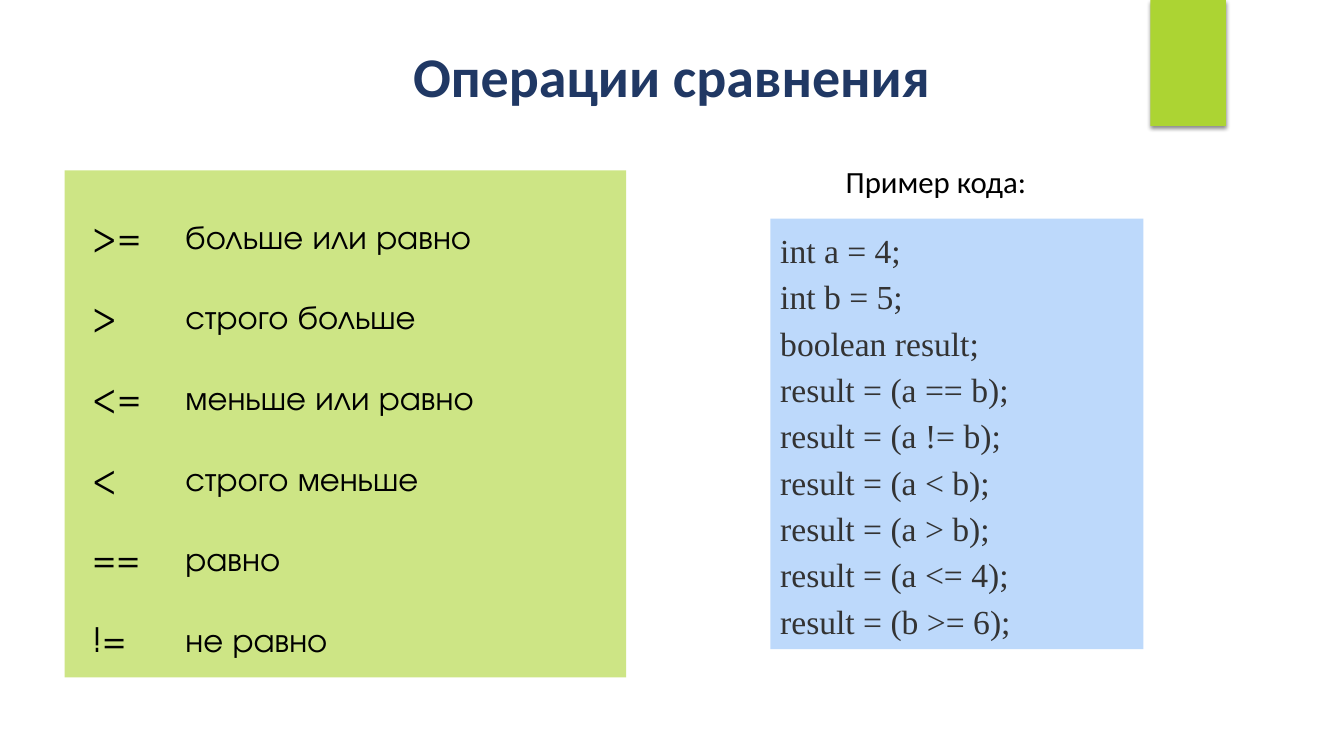
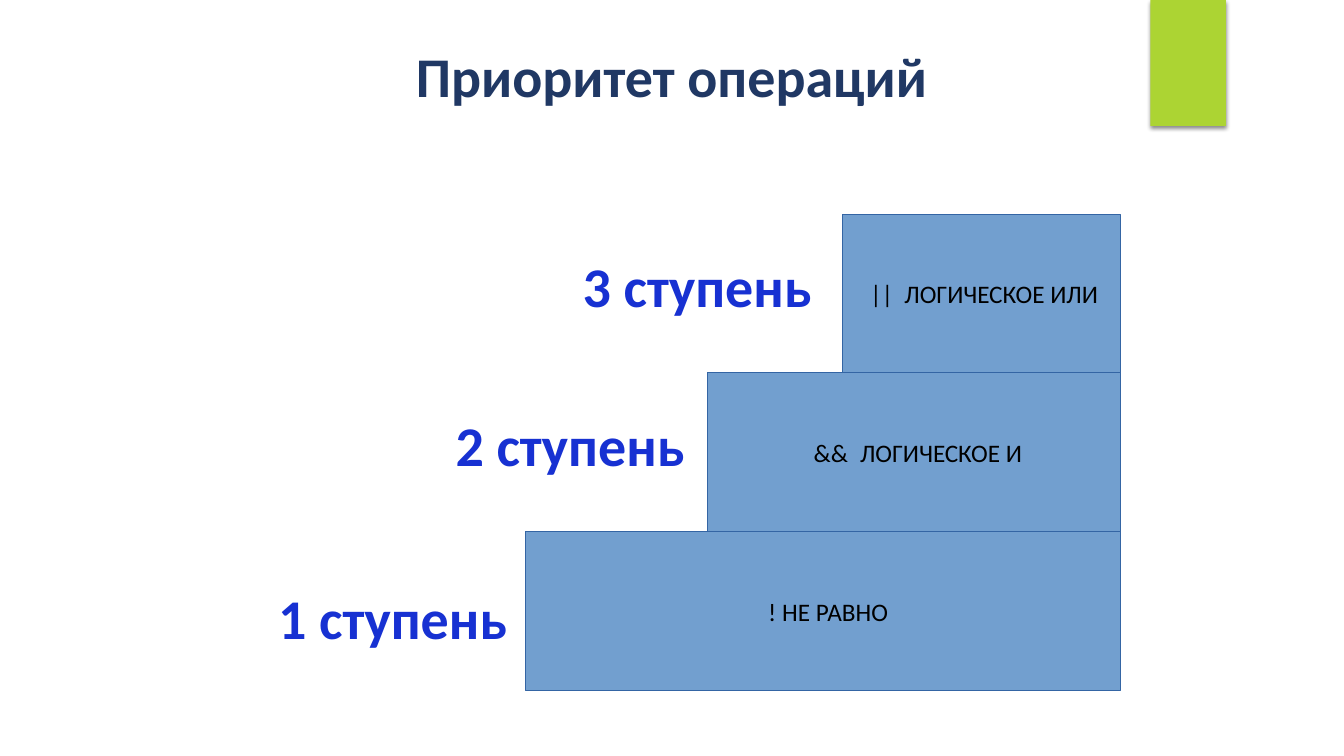
from lxml.etree import SubElement
from pptx import Presentation
from pptx.dml.color import RGBColor
from pptx.enum.shapes import MSO_SHAPE
from pptx.enum.text import MSO_ANCHOR, PP_ALIGN
from pptx.oxml.ns import qn
from pptx.util import Inches, Pt

COLORS = {
    "flag": "ACD433", "title": "203864", "text": "000000",
    "list": "CDE585", "code_bg": "BDD9FB", "code": "333333",
    "step": "729FCF", "edge": "3465A4", "label": "1731D2",
}
SANS, ROUND, SERIF = "Calibri", "TeX Gyre Adventor", "Times New Roman"

SIGNS = [
    (">=", "больше или равно"),
    (">", "строго больше"),
    ("<=", "меньше или равно"),
    ("<", "строго меньше"),
    ("==", "равно"),
    ("!=", "не равно"),
]
CODE = [
    "int a = 4;",
    "int b = 5;",
    "boolean result;",
    "result = (a == b);",
    "result = (a != b);",
    "result = (a < b);",
    "result = (a > b);",
    "result = (a <= 4);",
    "result = (b >= 6);",
]
# Bottom step first: label, its left and top, step width, text, inset, tab
STEPS = [
    ("1 ступень", 2.66, 5.74, 5.9, "! НЕ РАВНО", 2.41, None),
    ("2 ступень", 4.42, 4.02, 4.09, "&&\tЛОГИЧЕСКОЕ И", 1.05, 0.46),
    ("3 ступень", 5.68, 2.45, 2.75, "||\tЛОГИЧЕСКОЕ ИЛИ", 0.27, 0.34),
]
RIGHT, BOTTOM, RISE = 11.11, 6.85, 1.575


def color(name):
    return RGBColor.from_string(COLORS[name])


def add_box(slide, at, fill, line=None):
    box = slide.shapes.add_shape(MSO_SHAPE.RECTANGLE, *map(Inches, at))
    box.shadow.inherit = False
    box.fill.solid()
    box.fill.fore_color.rgb = color(fill)
    if line:
        box.line.color.rgb = color(line)
        box.line.width = Pt(0.75)
    else:
        box.line.fill.background()
    return box


def add_tab(para, pos):
    tabs = SubElement(para._p.get_or_add_pPr(), qn("a:tabLst"))
    SubElement(tabs, qn("a:tab"), pos=str(Inches(pos)), algn="l")


def write(shape, lines, size, tone="text", face=SANS, bold=False, inset=0.1,
          align=PP_ALIGN.LEFT, anchor=MSO_ANCHOR.TOP, space=None, tab=None):
    frame = shape.text_frame
    frame.word_wrap = True
    frame.vertical_anchor = anchor
    frame.margin_left = Inches(inset)
    frame.text = "\n".join(lines)
    for para in frame.paragraphs:
        para.alignment = align
        if space:
            para.line_spacing = space
        if tab:
            add_tab(para, tab)
        for run in para.runs:
            font = run.font
            font.name, font.size, font.bold = face, Pt(size), bold
            font.color.rgb = color(tone)


def add_text(slide, at, text, size, **style):
    box = slide.shapes.add_textbox(*map(Inches, at))
    write(box, [text], size, **style)


def add_flag(slide):
    """Add the corner flag with its soft shadow."""
    flag = add_box(slide, (11.41, 0, 0.75, 1.25), "flag")
    effects = flag._element.spPr.find(qn("a:effectLst"))
    shade = SubElement(effects, qn("a:outerShdw"), blurRad=str(Pt(3)),
                       dist=str(Pt(2)), dir="5400000", rotWithShape="0")
    tone = SubElement(shade, qn("a:srgbClr"), val=COLORS["text"])
    SubElement(tone, qn("a:alpha"), val="45000")


def new_slide(deck, title):
    slide = deck.slides.add_slide(deck.slide_layouts[6])
    add_flag(slide)
    add_text(slide, (2.35, 0.33, 8.62, 0.83), title, 40, tone="title",
             bold=True, align=PP_ALIGN.CENTER, anchor=MSO_ANCHOR.MIDDLE)
    return slide


def compare(deck):
    slide = new_slide(deck, "Операции сравнения")
    table = add_box(slide, (0.64, 1.69, 5.57, 5.03), "list")
    write(table, ["\t".join(pair) for pair in SIGNS], 24, face=ROUND,
          inset=0.28, space=2.0, tab=0.92)
    add_text(slide, (8.29, 1.57, 3.7, 0.4), "Пример кода:", 22)
    code = add_box(slide, (7.64, 2.17, 3.7, 4.27), "code_bg")
    write(code, CODE, 24, tone="code", face=SERIF, space=1.15)


def rank(deck):
    slide = new_slide(deck, "Приоритет операций")
    for i, (label, x, y, width, text, inset, tab) in enumerate(STEPS):
        left, top = RIGHT - width, BOTTOM - RISE * (i + 1)
        step = add_box(slide, (left, top, width, RISE), "step", "edge")
        write(step, [text], 18, inset=inset, tab=tab,
              anchor=MSO_ANCHOR.MIDDLE)
        add_text(slide, (x, y, left - x, 0.65), label, 40, tone="label",
                 bold=True)


def main():
    deck = Presentation()
    deck.slide_width, deck.slide_height = Inches(13.33), Inches(7.5)
    compare(deck)
    rank(deck)
    deck.save("out.pptx")


if __name__ == "__main__":
    main()
